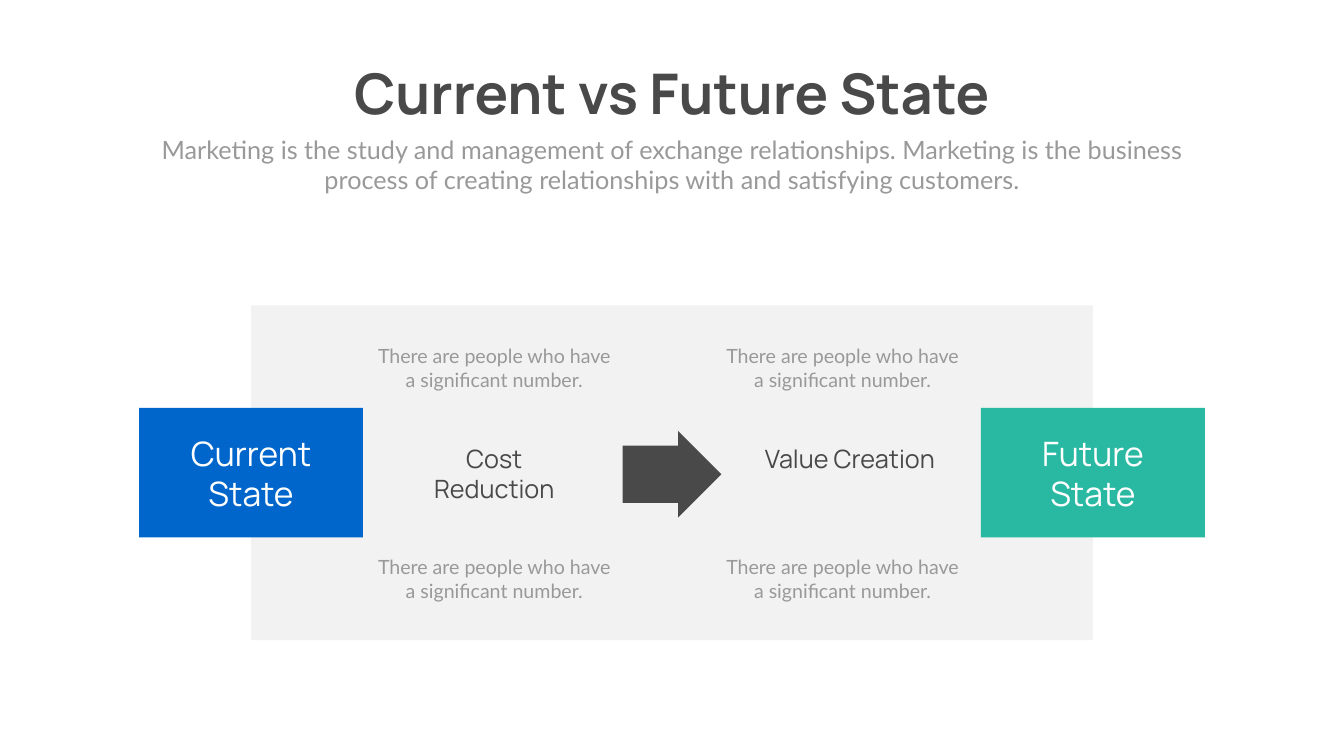
from dataclasses import dataclass

from pptx import Presentation
from pptx.dml.color import RGBColor
from pptx.enum.shapes import MSO_SHAPE
from pptx.enum.text import MSO_ANCHOR, PP_ALIGN
from pptx.util import Cm, Pt

RECT = MSO_SHAPE.RECTANGLE
RIGHT_ARROW = MSO_SHAPE.RIGHT_ARROW
CENTER = PP_ALIGN.CENTER
MIDDLE = MSO_ANCHOR.MIDDLE


@dataclass(frozen=True)
class Theme:
    heading_font: str = "Manrope"
    body_font: str = "Lato"
    dark: str = "494949"
    muted: str = "999999"
    panel: str = "F2F2F2"
    current: str = "0066CB"
    future: str = "29B9A2"
    white: str = "FFFFFF"
    title_size: int = 80
    state_size: int = 48
    lead_size: int = 36
    note_size: int = 28


THEME = Theme()
NOTE = "There are people who have a significant number."


def write(tf, text, font, size, color, bold=False):
    p = tf.paragraphs[0]
    p.text = text
    p.alignment = CENTER
    p.font.name = font
    p.font.size = Pt(size)
    p.font.bold = bold
    p.font.color.rgb = RGBColor.from_string(color)


def add_text(slide, x, y, w, h, text, font, size, color, bold=False, wrap=True):
    tf = slide.shapes.add_textbox(Cm(x), Cm(y), Cm(w), Cm(h)).text_frame
    tf.word_wrap = wrap
    write(tf, text, font, size, color, bold)


def add_block(slide, kind, x, y, w, h, color):
    sp = slide.shapes.add_shape(kind, Cm(x), Cm(y), Cm(w), Cm(h))
    sp.shadow.inherit = False
    sp.fill.solid()
    sp.fill.fore_color.rgb = RGBColor.from_string(color)
    sp.line.fill.background()
    return sp


def add_header(slide, x, y, w):
    """Title with the lead text below it."""
    title_w = 34.37
    add_text(slide, x + (w - title_w) / 2, y, title_w, 3.68, "Current vs Future State",
             THEME.heading_font, THEME.title_size, THEME.dark, bold=True, wrap=False)
    add_text(slide, x, y + 3.79, w, 3.33,
             "Marketing is the study and management of exchange relationships. "
             "Marketing is the business process of creating relationships with "
             "and satisfying customers.",
             THEME.body_font, THEME.lead_size, THEME.muted)


def add_state(slide, x, y, w, h, text, color):
    """Coloured block with the name of a state."""
    tf = add_block(slide, RECT, x, y, w, h, color).text_frame
    tf.word_wrap = True
    tf.vertical_anchor = MIDDLE
    tf.margin_left = tf.margin_right = Cm(1.6)
    write(tf, text, THEME.heading_font, THEME.state_size, THEME.white)


def add_column(slide, x, y, w, h, heading, heading_shift=0):
    """Heading between an upper and a lower note."""
    note_h, heading_w = 2.64, 9.2
    for note_y in (y, y + h - note_h):
        add_text(slide, x, note_y, w, note_h, NOTE,
                 THEME.body_font, THEME.note_size, THEME.muted)
    add_text(slide, x + (w - heading_w) / 2 + heading_shift, y + 5, heading_w, 3.33,
             heading, THEME.heading_font, THEME.lead_size, THEME.dark)


def add_comparison(slide, x, y, w, h):
    """Panel with a state on each side edge and two columns around an arrow."""
    add_block(slide, RECT, x, y, w, h, THEME.panel)

    # States, centred on the side edges
    state_w, state_h = 11.28, 6.53
    for edge, text, color in ((x, "Current State", THEME.current),
                              (x + w, "Future State", THEME.future)):
        add_state(slide, edge - state_w / 2, y + (h - state_h) / 2,
                  state_w, state_h, text, color)

    # Columns
    column_y, column_w, column_h = y + 1.83, 12.93, 13.26
    add_column(slide, x + 5.79, column_y, column_w, column_h, "Cost Reduction")
    add_column(slide, x + 23.34, column_y, column_w, column_h, "Value Creation", 0.37)

    # Arrow
    arrow = add_block(slide, RIGHT_ARROW, x + 18.72, y + 6.33, 4.98, 4.37, THEME.dark)
    arrow.adjustments[0] = 0.66
    arrow.adjustments[1] = 0.5


def main():
    prs = Presentation()
    prs.slide_width = Cm(67.72)
    prs.slide_height = Cm(38.1)
    slide = prs.slides.add_slide(prs.slide_layouts[6])
    add_header(slide, 7.42, 2.84, 52.88)
    add_comparison(slide, 12.65, 15.39, 42.42, 16.87)
    prs.save("out.pptx")


if __name__ == "__main__":
    main()
